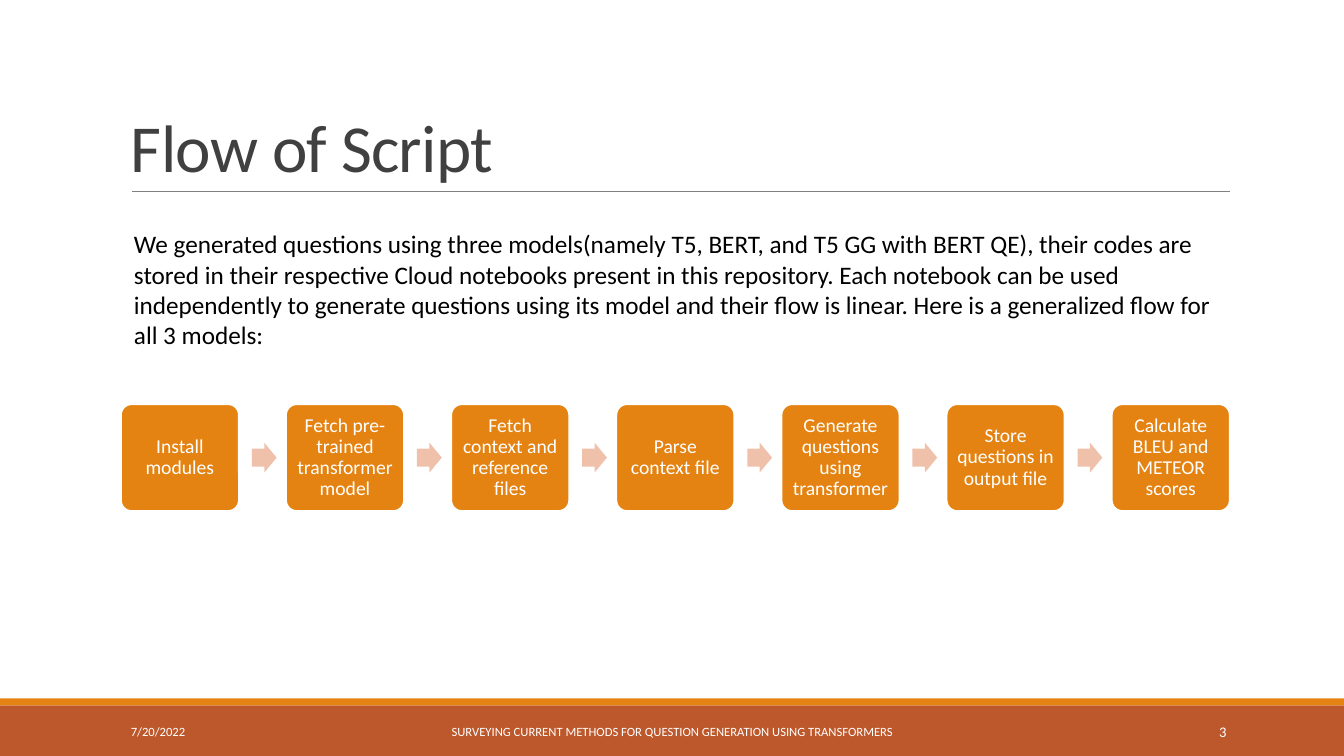
from pptx import Presentation, util as u
from pptx.dml.color import RGBColor
from pptx.enum import shapes, text
from pptx.oxml.ns import qn
from lxml import etree

COLORS = {"orange": "E48312", "rust": "BD582C", "peach": "EFC1AB", "rule": "808080",
          "title": "404040", "body": "000000", "white": "FFFFFF"}
FONT = "Calibri"
SHAPE, ALIGN, ANCHOR = shapes.MSO_SHAPE, text.PP_ALIGN, text.MSO_ANCHOR

BODY = ("We generated questions using three models(namely T5, BERT, and T5 GG with BERT QE), "
        "their codes are stored in their respective Cloud notebooks present in this repository. "
        "Each notebook can be used independently to generate questions using its model and their "
        "flow is linear. Here is a generalized flow for all 3 models:")
STEPS = ["Install modules", "Fetch pre-trained transformer model",
         "Fetch context and reference files", "Parse context file",
         "Generate questions using transformer", "Store questions in output file",
         "Calculate BLEU and METEOR scores"]
FOOTER = "SURVEYING CURRENT METHODS FOR QUESTION GENERATION USING TRANSFORMERS"


def rgb(name):
    """Return a palette colour."""
    return RGBColor.from_string(COLORS[name])


def apply(obj, formats):
    """Set each attribute in formats on obj."""
    for name, value in formats.items():
        setattr(obj, name, value)


def share(prs, left, top, width, height):
    """Turn percentages of the slide into a box in EMU."""
    w, h = prs.slide_width / 100, prs.slide_height / 100
    return tuple(round(v) for v in (left * w, top * h, width * w, height * h))


def part(box, left, top, width, height):
    """Return a box given as fractions of another box."""
    x, y, w, h = box
    return tuple(round(v) for v in (x + left * w, y + top * h, width * w, height * h))


def write(sp, words, size, color, frame=None, para=None):
    """Put one formatted paragraph into a shape and return its run."""
    tf = sp.text_frame
    apply(tf, {"word_wrap": True, **(frame or {})})
    p = tf.paragraphs[0]
    apply(p, para or {})
    r = p.add_run()
    r.text = words
    apply(r.font, {"name": FONT, "size": u.Pt(size)})
    r.font.color.rgb = rgb(color)
    return r


def add_filled(s, kind, box, fill, adjustments=(), line=None):
    """Add a flat preset shape, outlined in white when a line width is given."""
    sp = s.shapes.add_shape(kind, *box)
    sp.shadow.inherit = False
    sp.fill.solid()
    sp.fill.fore_color.rgb = rgb(fill)
    for i, value in enumerate(adjustments):
        sp.adjustments[i] = value
    if line:
        sp.line.color.rgb = rgb("white")
        sp.line.width = u.Pt(line)
    else:
        sp.line.fill.background()
    return sp


def add_title(s, box):
    """Add the heading at the foot of its box, with a rule under it."""
    r = write(s.shapes.add_textbox(*box), "Flow of Script", 48, "title",
              {"vertical_anchor": ANCHOR.BOTTOM}, {"line_spacing": 0.85})
    r.font._element.set("spc", "-50")
    x, y, w, _ = part(box, 0.01, 1, 0.99, 0)
    rule = s.shapes.add_connector(shapes.MSO_CONNECTOR.STRAIGHT, x, y, x + w, y)
    rule.line.color.rgb = rgb("rule")
    rule.line.width = u.Pt(0.5)
    etree.SubElement(rule._element.spPr, qn("a:effectLst"))


def add_body(s, box):
    """Add the introductory paragraph."""
    write(s.shapes.add_textbox(*box), BODY, 18, "body")


def add_flow(s, box):
    """Spread the steps over the box, an arrow in each gap of 0.4 step widths."""
    step_w = 1 / (1.4 * len(STEPS) - 0.4)
    inset = u.Inches(0.06)
    frame = {"vertical_anchor": ANCHOR.MIDDLE}
    frame.update({f"margin_{side}": inset for side in ("left", "right", "top", "bottom")})
    for i, step in enumerate(STEPS):
        left = 1.4 * step_w * i
        if i:
            add_filled(s, SHAPE.RIGHT_ARROW,
                       part(box, left - 0.29 * step_w, 0.36, 0.21 * step_w, 0.28),
                       "peach", (0.6, 0.5))
        sp = add_filled(s, SHAPE.ROUNDED_RECTANGLE, part(box, left, 0, step_w, 1),
                        "orange", (0.1,), 1.25)
        write(sp, step, 14, "white", frame, {"alignment": ALIGN.CENTER, "line_spacing": 0.9})


def add_footer(s, box):
    """Add the two colour bands with date, footer and slide number."""
    add_filled(s, SHAPE.RECTANGLE, part(box, 0, 0.12, 1, 0.88), "rust")
    add_filled(s, SHAPE.RECTANGLE, part(box, 0, 0, 1, 0.12), "orange")
    for words, left, width, size, align in [("7/20/2022", 0.09, 0.2, 9, ALIGN.LEFT),
                                            (FOOTER, 0.3, 0.4, 9, ALIGN.CENTER),
                                            ("3", 0.81, 0.11, 10.5, ALIGN.RIGHT)]:
        write(s.shapes.add_textbox(*part(box, left, 0.23, width, 0.7)), words, size, "white",
              {"vertical_anchor": ANCHOR.MIDDLE}, {"alignment": align})


prs = Presentation()
apply(prs, {"slide_width": u.Inches(13.33), "slide_height": u.Inches(7.5)})
s = prs.slides.add_slide(prs.slide_layouts[6])
add_footer(s, share(prs, 0, 92.4, 100, 7.6))
add_title(s, share(prs, 9, 4.13, 82.5, 21.2))
add_body(s, share(prs, 9.23, 29.6, 82, 17.47))
add_flow(s, share(prs, 9, 53.47, 82.5, 14.13))
prs.save("out.pptx")
